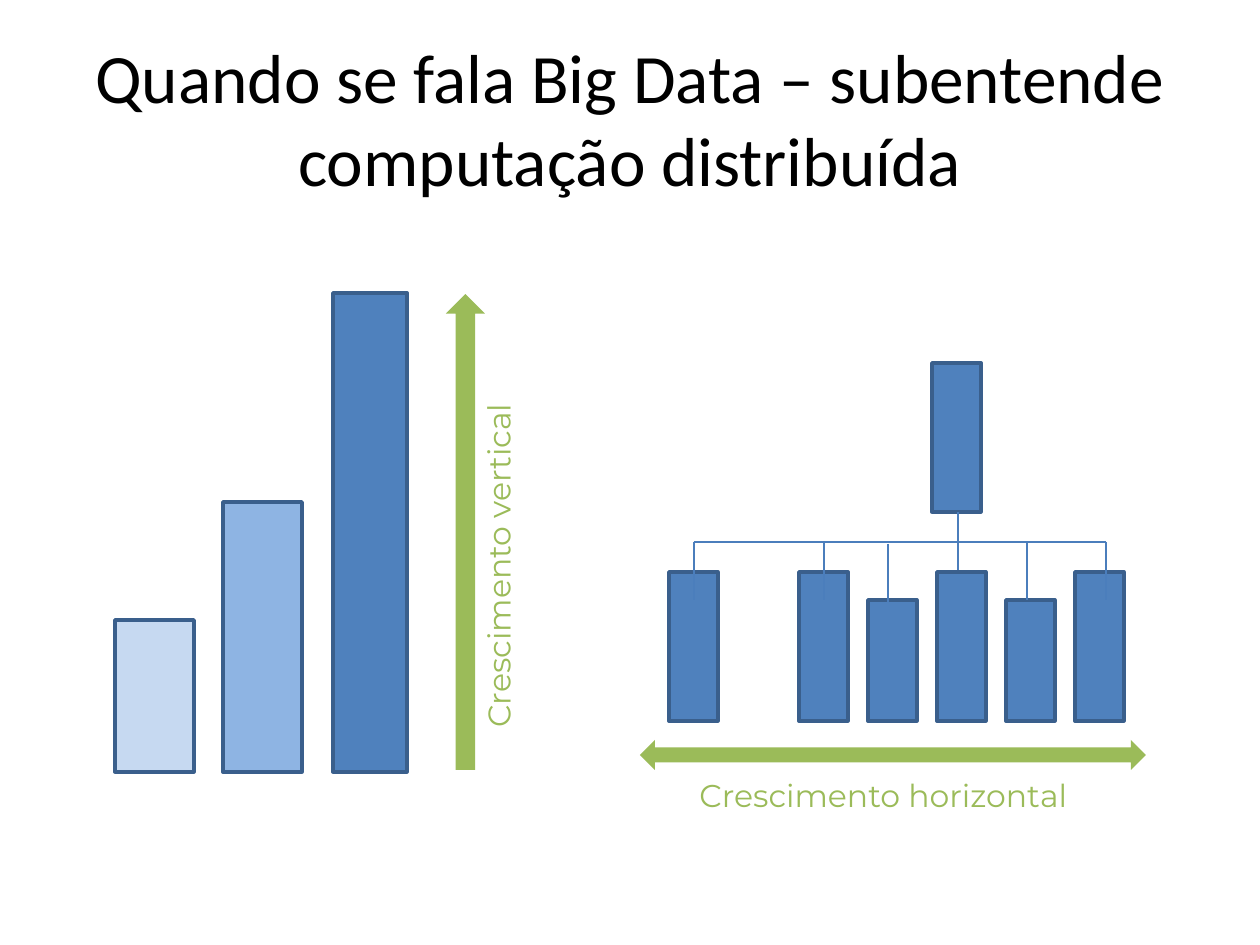
"""Builds a slide on vertical and horizontal growth in distributed computing."""
from lxml.etree import SubElement
from pptx import Presentation
from pptx.dml.color import RGBColor as RGB
from pptx.enum.shapes import MSO_CONNECTOR as Link, MSO_SHAPE as Form
from pptx.enum.text import MSO_ANCHOR as Anchor, MSO_AUTO_SIZE as Auto, PP_ALIGN as Align
from pptx.oxml.ns import qn
from pptx.util import Pt

PX = 914400 // 126
HUES = {"ink": "000000", "pale": "C6D9F1", "mid": "8EB4E3", "blue": "4F81BD",
        "edge": "3A5F8C", "wire": "4B7EBC", "green": "9BBB59"}
TITLE = "Quando se fala Big Data – subentende computação distribuída"
BASE = 772
BARS = [(115, 79, 152, "pale"), (223, 79, 270, "mid"), (333, 74, 479, "blue")]
FLOOR, WIDE, TALL, SHORT = 721, 49, 149, 121
NODES = [(669, TALL)] + [(799 + 69 * i, h) for i, h in
                         enumerate((TALL, SHORT, TALL, SHORT, TALL))]
ROOT = (932, 363, WIDE, TALL)
BUS, DROP = 542, 58
DROPS = [(694, BUS), (824, BUS), (888, BUS + 2), (958, 512), (1027, BUS), (1106, BUS)]
ARROWS = [(Form.UP_ARROW, (446, 294, 39, 476)),
          (Form.LEFT_RIGHT_ARROW, (640, 740, 506, 30))]
LABELS = [("Crescimento vertical", (239, 456, 518, 50), 270),
          ("Crescimento horizontal", (687, 770, 518, 50), 0)]


def emu(box):
    return [n * PX for n in box]


def hue(name):
    return RGB.from_string(HUES[name])


def style(para, face, size, color):
    para.font.name, para.font.size = face, Pt(size)
    para.font.color.rgb = hue(color)


def draw(form, box, fill, edge=None):
    shape = slide.shapes.add_shape(form, *emu(box))
    shape.shadow.inherit = False
    shape.fill.solid()
    shape.fill.fore_color.rgb = hue(fill)
    if edge:
        shape.line.color.rgb, shape.line.width = hue(edge), Pt(2)
    else:
        shape.line.fill.background()


def wire(*ends):
    line = slide.shapes.add_connector(Link.STRAIGHT, *emu(ends))
    line.line.color.rgb, line.line.width = hue("wire"), Pt(0.75)
    SubElement(line._element.spPr, qn("a:effectLst"))


def label(text, box, turn):
    note = slide.shapes.add_textbox(*emu(box))
    note.rotation = turn
    frame = note.text_frame
    frame.word_wrap, frame.auto_size = True, Auto.SHAPE_TO_FIT_TEXT
    frame.text = text
    style(frame.paragraphs[0], "Montserrat", 18, "green")


deck = Presentation()
deck.slide_width, deck.slide_height = emu((1260, 945))
slide = deck.slides.add_slide(deck.slide_layouts[5])

title = slide.shapes.title
title.left, title.top, title.width, title.height = emu((63, 38, 1134, 158))
frame = title.text_frame
frame.text = TITLE
frame.auto_size, frame.vertical_anchor = Auto.NONE, Anchor.MIDDLE
frame.paragraphs[0].alignment = Align.CENTER
style(frame.paragraphs[0], "Calibri", 39.6, "ink")

for x, w, h, fill in BARS:
    draw(Form.RECTANGLE, (x, BASE - h, w, h), fill, "edge")
for x, h in NODES:
    draw(Form.RECTANGLE, (x, FLOOR - h, WIDE, h), "blue", "edge")
draw(Form.RECTANGLE, ROOT, "blue", "edge")
wire(DROPS[0][0], BUS, DROPS[-1][0], BUS)
for x, y in DROPS:
    wire(x, y, x, y + DROP)
for form, box in ARROWS:
    draw(form, box, "green")
for item in LABELS:
    label(*item)

deck.save("out.pptx")
